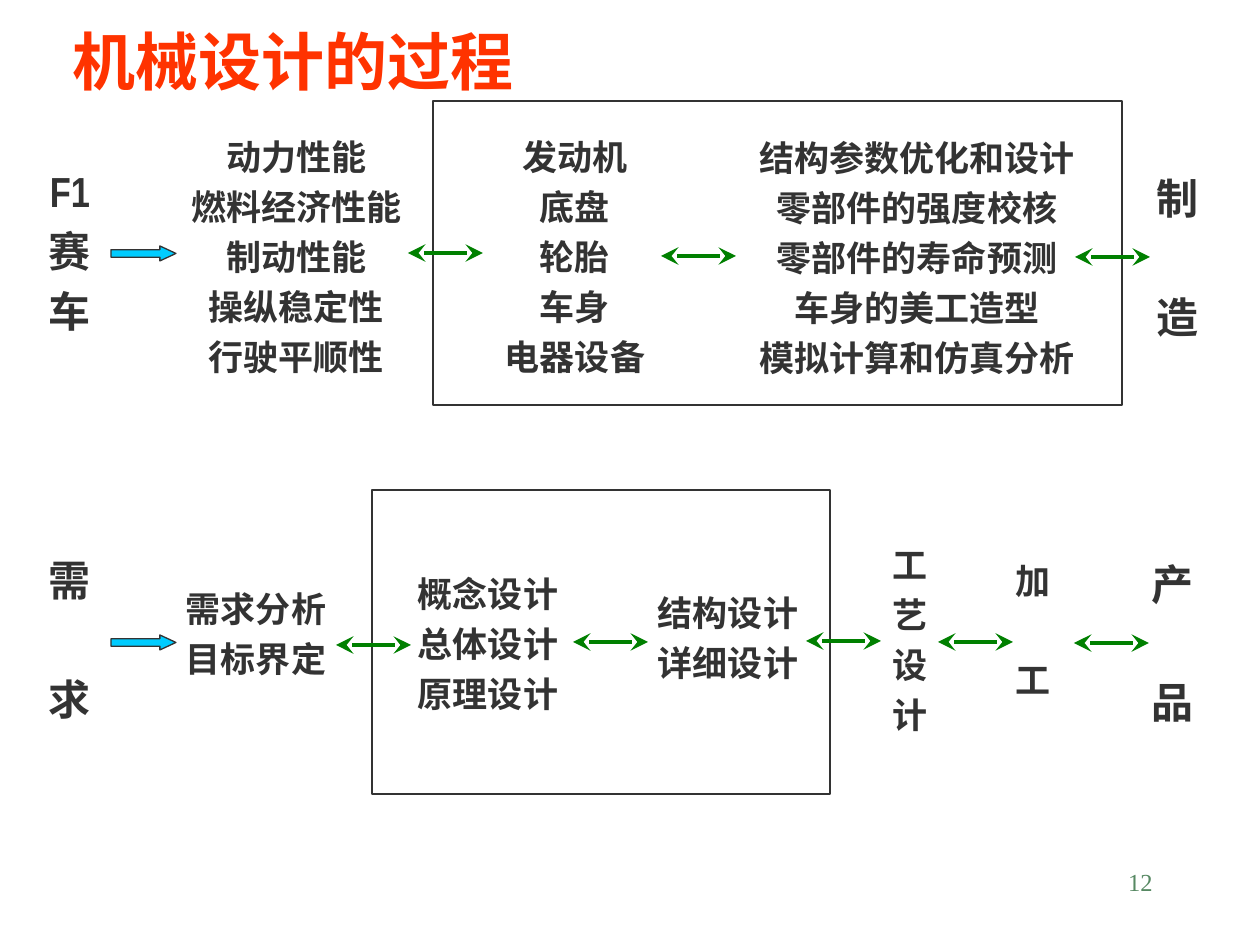
from lxml import etree
from pptx import Presentation
from pptx import util as u
from pptx.dml.color import RGBColor
from pptx.enum import shapes, text
from pptx.oxml.ns import qn

RED = RGBColor(0xFF, 0x33, 0x00)
DARK = RGBColor(0x33, 0x33, 0x33)
CYAN = RGBColor(0x00, 0xCC, 0xFF)
GREEN = RGBColor(0x00, 0x80, 0x00)
SAGE = RGBColor(0x57, 0x89, 0x63)


class Canvas:
    px_per_inch = 126
    body_font = "Arial Narrow"
    line_ratio = 1.4
    gap_ratio = 0.23

    def __init__(self, slide):
        self.slide = slide

    def emu(self, *lengths):
        return [round(length * u.Inches(1) / self.px_per_inch) for length in lengths]

    def text(self, lines, frame, size=20, color=DARK, font=body_font, bold=True,
             align=text.PP_ALIGN.CENTER, skipped_rows=0):
        box = self.slide.shapes.add_textbox(*self.emu(*frame))
        body = box.text_frame
        body.word_wrap = True
        for index, line in enumerate(lines):
            para = body.paragraphs[0] if index == 0 else body.add_paragraph()
            para.alignment = align
            if index:
                gap = self.gap_ratio + skipped_rows * self.line_ratio
                para.space_before = u.Pt(round(size * gap, 1))
            span = para.add_run()
            span.text = line
            para.font.size = u.Pt(size)
            para.font.bold = bold
            para.font.name = font
            para.font.color.rgb = color
            east_asian = etree.SubElement(span.font._element, qn("a:ea"))
            east_asian.set("typeface", font)

    def shape(self, kind, frame, width, fill=None):
        shape = self.slide.shapes.add_shape(kind, *self.emu(*frame))
        shape.shadow.inherit = False
        if fill is None:
            shape.fill.background()
        else:
            shape.fill.solid()
            shape.fill.fore_color.rgb = fill
        shape.line.color.rgb = DARK
        shape.line.width = u.Pt(width)
        return shape

    def frame(self, frame):
        self.shape(shapes.MSO_SHAPE.RECTANGLE, frame, 1.5)

    def block_arrow(self, left, top):
        arrow = self.shape(shapes.MSO_SHAPE.RIGHT_ARROW, (left, top, 65, 15), 0.75, CYAN)
        arrow.adjustments[1] = 1.07

    def link(self, left, y, length=75):
        line = self.slide.shapes.add_connector(
            shapes.MSO_CONNECTOR.STRAIGHT, *self.emu(left, y, left + length, y))
        line.line.color.rgb = GREEN
        line.line.width = u.Pt(2)
        outline = line.line._get_or_add_ln()
        for end in ("a:headEnd", "a:tailEnd"):
            etree.SubElement(outline, qn(end), type="stealth", w="lg", len="lg")
        etree.SubElement(line._element.spPr, qn("a:effectLst"))


def main():
    deck = Presentation()
    deck.slide_width, deck.slide_height = u.Inches(10), u.Inches(7.5)
    page = Canvas(deck.slides.add_slide(deck.slide_layouts[6]))

    page.text(["机械设计的过程"], (60, 16, 600, 73), 36, RED, "Noto Sans CJK SC",
              align=text.PP_ALIGN.LEFT)
    page.text(["12"], (903, 861, 262, 63), 14, SAGE, "Times New Roman", False,
              text.PP_ALIGN.RIGHT)

    page.text(["F1", "赛", "车"], (25, 159, 90, 197), 24)
    for lines, frame in [
        (["制", "造"], (1133, 166, 89, 210)),
        (["需", "求"], (25, 548, 89, 197)),
        (["产", "品"], (1139, 552, 67, 176)),
    ]:
        page.text(lines, frame, 24, skipped_rows=1)
    page.text(["加", "工"], (1000, 553, 67, 176), skipped_rows=1)

    for lines, frame in [
        (["动力性能", "燃料经济性能", "制动性能", "操纵稳定性", "行驶平顺性"],
         (176, 129, 241, 262)),
        (["发动机", "底盘", "轮胎", "车身", "电器设备"], (446, 129, 258, 249)),
        (["结构参数优化和设计", "零部件的强度校核", "零部件的寿命预测",
          "车身的美工造型", "模拟计算和仿真分析"], (725, 130, 384, 270)),
        (["需求分析", "目标界定"], (171, 581, 170, 127)),
        (["概念设计", "总体设计", "原理设计"], (398, 566, 180, 161)),
        (["结构设计", "详细设计"], (638, 585, 180, 113)),
        (["工", "艺", "设", "计"], (873, 537, 74, 209)),
    ]:
        page.text(lines, frame)

    page.frame((433, 101, 689, 304))
    page.frame((372, 490, 458, 304))

    for top in (246, 635):
        page.block_arrow(111, top)
    for left, y in [(408, 253), (661, 256), (1075, 257), (336, 645), (573, 642),
                    (806, 641), (938, 642), (1074, 643)]:
        page.link(left, y)

    deck.save("out.pptx")


if __name__ == "__main__":
    main()
